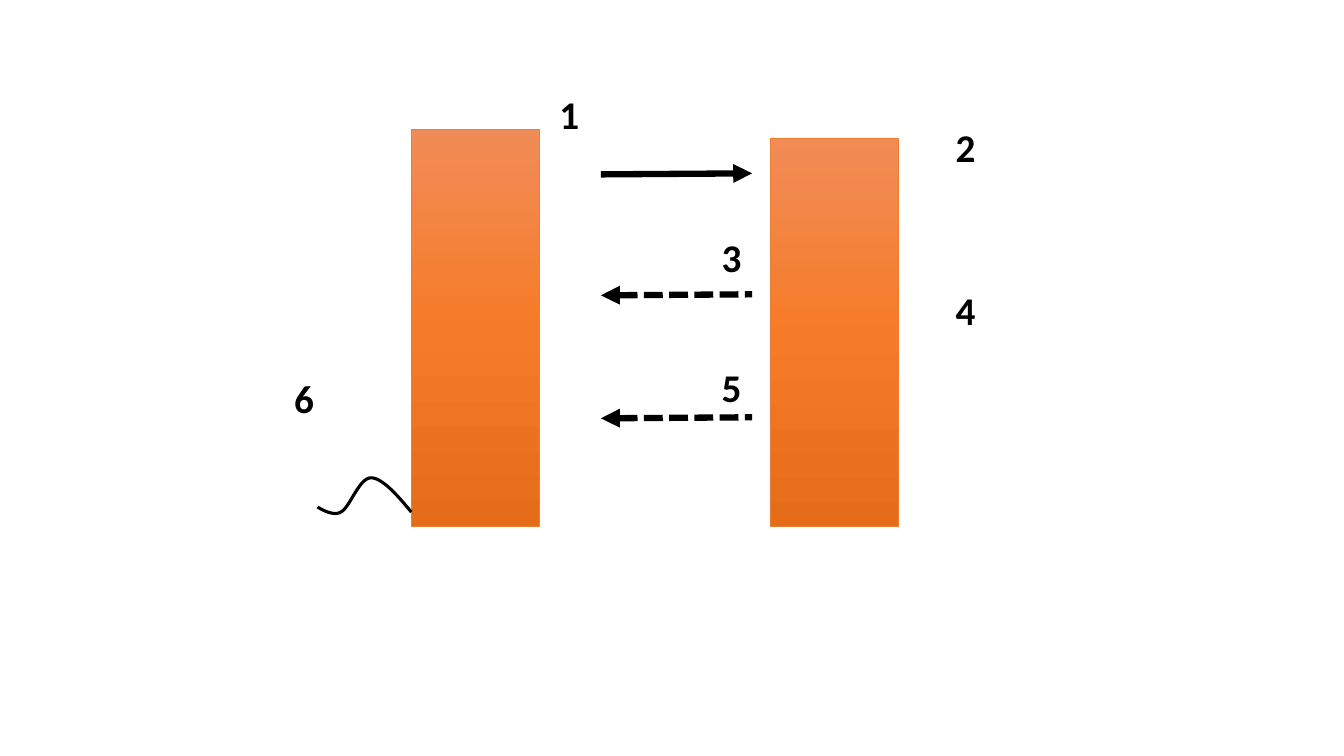
import copy

import pptx
import pptx.dml.color
import pptx.enum.dml
import pptx.enum.shapes
import pptx.enum.text
import pptx.oxml.ns
import pptx.util
from lxml import etree
from pptx.util import Inches

BLACK = pptx.dml.color.RGBColor(0x00, 0x00, 0x00)
BORDER = pptx.dml.color.RGBColor(0xED, 0x7D, 0x31)
LIGHT = pptx.dml.color.RGBColor(0xF1, 0x8C, 0x57)
MIDDLE = pptx.dml.color.RGBColor(0xF6, 0x7B, 0x28)
DARK = pptx.dml.color.RGBColor(0xE5, 0x6C, 0x19)
qn = pptx.oxml.ns.qn

deck = pptx.Presentation()
deck.slide_width = Inches(13.33)
deck.slide_height = Inches(7.5)
page = deck.slides.add_slide(deck.slide_layouts[6])

# Two gradient columns standing on the same base
COLUMN_BASE = 5.22
for left, top in [(4.08, 1.28), (7.64, 1.37)]:
    column = page.shapes.add_shape(
        pptx.enum.shapes.MSO_SHAPE.RECTANGLE,
        Inches(left), Inches(top), Inches(1.27), Inches(COLUMN_BASE - top))
    column.shadow.inherit = False
    column.line.color.rgb = BORDER
    column.line.width = pptx.util.Pt(0.5)
    column.fill.gradient()
    column.fill.gradient_angle = 270
    stop_list = column.element.spPr.find(qn("a:gradFill")).find(qn("a:gsLst"))
    stop_list.insert(1, copy.deepcopy(stop_list[0]))
    for stop, color, position in zip(
            column.fill.gradient_stops, (LIGHT, MIDDLE, DARK), (0, 0.5, 1)):
        stop.color.rgb = color
        stop.position = position

# Wavy tail: Bezier segments, each starting where the previous one ended
STEPS = 16
tail_start = (4.08, 5.08)
tail_segments = [
    ((3.94, 4.91), (3.79, 4.74), (3.68, 4.74)),
    ((3.56, 4.74), (3.47, 5.04), (3.38, 5.08)),
    ((3.30, 5.13), (3.15, 5.03), (3.15, 5.03)),
]
tail_points = []
start = tail_start
for control_1, control_2, end in tail_segments:
    for step in range(1, STEPS + 1):
        t = step / STEPS
        x, y = [
            (1 - t) ** 3 * a + 3 * (1 - t) ** 2 * t * b + 3 * (1 - t) * t ** 2 * c + t ** 3 * d
            for a, b, c, d in zip(start, control_1, control_2, end)]
        tail_points.append((Inches(x), Inches(y)))
    start = end
builder = page.shapes.build_freeform(Inches(tail_start[0]), Inches(tail_start[1]))
builder.add_line_segments(tail_points, close=False)
tail = builder.convert_to_shape()
tail.shadow.inherit = False
tail.fill.background()
tail.line.color.rgb = BLACK
tail.line.width = pptx.util.Pt(2.25)

# Solid arrow to the right, dashed arrows back to the left
for y, dashed, arrow_end in [
        (1.73, False, "a:tailEnd"), (2.93, True, "a:headEnd"), (4.15, True, "a:headEnd")]:
    arrow = page.shapes.add_connector(
        pptx.enum.shapes.MSO_CONNECTOR.STRAIGHT,
        Inches(5.96), Inches(y), Inches(7.46), Inches(y - 0.01))
    arrow.line.color.rgb = BLACK
    arrow.line.width = pptx.util.Pt(4.5)
    if dashed:
        arrow.line.dash_style = pptx.enum.dml.MSO_LINE.SQUARE_DOT
    properties = arrow.element.spPr
    etree.SubElement(properties.find(qn("a:ln")), qn(arrow_end), type="triangle")
    etree.SubElement(properties, qn("a:effectLst"))

label_places = [
    (5.45, 0.85), (9.38, 1.17), (7.06, 2.27), (9.38, 2.79), (7.06, 3.56), (2.82, 3.66)]
for number, (left, top) in enumerate(label_places, start=1):
    box = page.shapes.add_textbox(Inches(left), Inches(top), Inches(0.4), Inches(0.57))
    box.text_frame.word_wrap = False
    box.text_frame.auto_size = pptx.enum.text.MSO_AUTO_SIZE.SHAPE_TO_FIT_TEXT
    para = box.text_frame.paragraphs[0]
    para.text = str(number)
    para.font.name = "Calibri"
    para.font.size = pptx.util.Pt(28)
    para.font.bold = True
    para.font.color.rgb = BLACK

deck.save("out.pptx")
